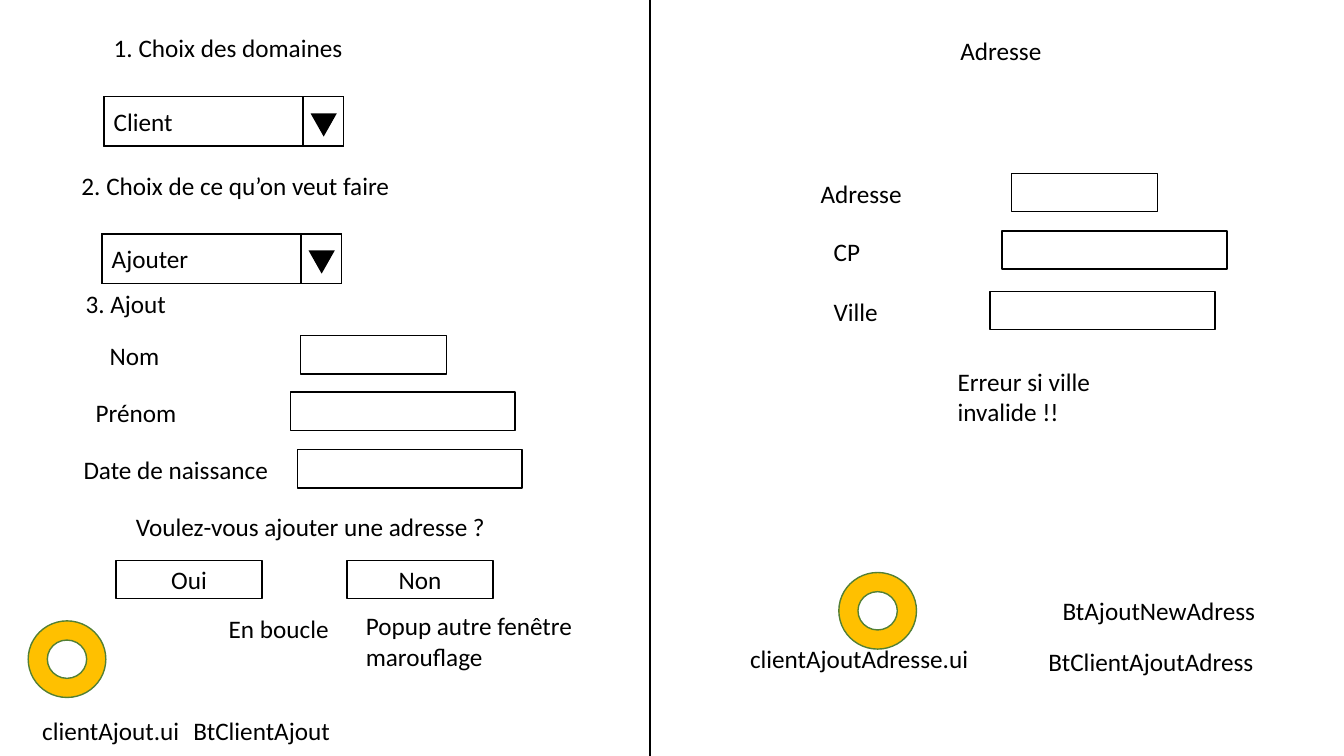
import pptx
import pptx.util
import pptx.dml.color
import pptx.enum.shapes
import pptx.enum.text
import pptx.oxml.ns
from dataclasses import dataclass
from lxml import etree

Inches = pptx.util.Inches
Pt = pptx.util.Pt
SHAPE = pptx.enum.shapes.MSO_SHAPE
ALIGN = pptx.enum.text.PP_ALIGN
ANCHOR = pptx.enum.text.MSO_ANCHOR
AUTO = pptx.enum.text.MSO_AUTO_SIZE


@dataclass(frozen=True)
class Theme:
    font: str = "Calibri"
    size: float = 18
    ink: str = "000000"
    ring: str = "FFC000"
    ring_line: str = "538035"
    thin: float = 1
    divider: float = 1.5


THEME = Theme()
ONE_LINE, TWO_LINES = 0.4, 0.71
FIELD_H, SHORT, LONG = 0.38, 1.45, 2.23


def rgb(value):
    return pptx.dml.color.RGBColor.from_string(value)


def write(tf, text, align=ALIGN.LEFT, **formats):
    for name, value in formats.items():
        setattr(tf, name, value)
    p = tf.paragraphs[0]
    p.alignment = align
    r = p.add_run()
    r.text = text
    for name, value in {"name": THEME.font, "size": Pt(THEME.size)}.items():
        setattr(r.font, name, value)
    r.font.color.rgb = rgb(THEME.ink)


def add_label(s, text, x, y, w, h=ONE_LINE, wrap=True):
    box = s.shapes.add_textbox(Inches(x), Inches(y), Inches(w), Inches(h))
    write(box.text_frame, text, word_wrap=wrap, auto_size=AUTO.SHAPE_TO_FIT_TEXT)


def add_figure(s, kind, x, y, w, h, fill=None, line=None):
    sp = s.shapes.add_shape(kind, Inches(x), Inches(y), Inches(w), Inches(h))
    sp.shadow.inherit = False
    if fill:
        sp.fill.solid()
        sp.fill.fore_color.rgb = rgb(fill)
    else:
        sp.fill.background()
    if line:
        sp.line.color.rgb = rgb(line)
        sp.line.width = Pt(THEME.thin)
    else:
        sp.line.fill.background()
    return sp


def add_box(s, x, y, w, h=FIELD_H, text="", align=ALIGN.CENTER):
    sp = add_figure(s, SHAPE.RECTANGLE, x, y, w, h, line=THEME.ink)
    if text:
        write(sp.text_frame, text, align, word_wrap=True, vertical_anchor=ANCHOR.MIDDLE)


def add_dropdown(s, choice, x, y):
    height = 0.49
    add_box(s, x, y, 2.38, height)
    add_box(s, x + 1.98, y, 0.4, height)
    arrow = add_figure(s, SHAPE.ISOSCELES_TRIANGLE, x + 2.05, y + 0.165, 0.26, 0.23,
                       fill=THEME.ink)
    arrow.rotation = 180
    add_box(s, x, y, 1.97, height, choice, ALIGN.LEFT)


def add_ring(s, x, y):
    add_figure(s, SHAPE.DONUT, x, y, 0.77, 0.76, THEME.ring, THEME.ring_line)


def add_divider(s, x, height):
    line = s.shapes.add_connector(pptx.enum.shapes.MSO_CONNECTOR.STRAIGHT,
                                  Inches(x), 0, Inches(x), height)
    line.line.color.rgb = rgb(THEME.ink)
    line.line.width = Pt(THEME.divider)
    etree.SubElement(line.element.spPr, pptx.oxml.ns.qn("a:effectLst"))


def main():
    prs = pptx.Presentation()
    prs.slide_width, prs.slide_height = Inches(13.33), Inches(7.5)
    s = prs.slides.add_slide(prs.slide_layouts[6])

    # Steps and window title
    for text, x, y, w, h in (
        ("1. Choix des domaines", 1.03, 0.27, 2.5, ONE_LINE),
        ("2. Choix de ce qu’on veut faire", 0.71, 1.64, 3.31, ONE_LINE),
        ("3. Ajout", 0.75, 2.81, 1.01, TWO_LINES),
        (" Adresse", 9.37, 0.3, 1.07, TWO_LINES),
    ):
        add_label(s, text, x, y, w, h, wrap=False)

    # Drop-down lists
    add_dropdown(s, "Client", 1.03, 0.96)
    add_dropdown(s, "Ajouter ", 1.01, 2.32)

    # Form fields: label and entry box share a row
    for text, y, x, w, h, field_x, field_w in (
        ("Nom", 3.33, 0.99, 1.53, ONE_LINE, 2.98, SHORT),
        ("Prénom", 3.89, 0.85, 2.05, TWO_LINES, 2.88, LONG),
        ("Date de naissance", 4.46, 0.73, 2.05, TWO_LINES, 2.95, LONG),
        ("Adresse", 1.72, 8.04, 1.53, ONE_LINE, 10.03, SHORT),
        ("CP", 2.29, 8.17, 1.67, TWO_LINES, 9.94, LONG),
        ("Ville", 2.89, 8.17, 1.67, TWO_LINES, 9.82, LONG),
    ):
        add_box(s, field_x, y, field_w)
        add_label(s, text, x, y, w, h)

    # Address question and its buttons
    add_label(s, "Voulez-vous ajouter une adresse ?", 1.25, 5.02, 4.41)
    add_box(s, 1.15, 5.56, SHORT, text="Oui")
    add_box(s, 3.44, 5.56, SHORT, text="Non")

    # Rings, behind the file names
    add_ring(s, 0.28, 6.16)
    add_ring(s, 8.32, 5.68)

    # Notes, file names and button names
    for text, x, y, w, h in (
        ("En boucle", 2.17, 6.04, 1.53, ONE_LINE),
        ("Popup autre fenêtre marouflage", 3.53, 6.01, 2.73, TWO_LINES),
        ("Erreur si ville invalide !!", 9.4, 3.58, 1.53, TWO_LINES),
        ("clientAjout.ui", 0.32, 7.05, 1.64, ONE_LINE),
        ("BtClientAjout", 1.82, 7.05, 1.64, ONE_LINE),
        ("clientAjoutAdresse.ui", 7.34, 6.33, 2.81, ONE_LINE),
        ("BtClientAjoutAdress", 10.3, 6.36, 2.59, ONE_LINE),
        ("BtAjoutNewAdress", 10.44, 5.86, 2.23, ONE_LINE),
    ):
        add_label(s, text, x, y, w, h)

    # Line between the two windows
    add_divider(s, 6.45, prs.slide_height)

    prs.save("out.pptx")


main()
